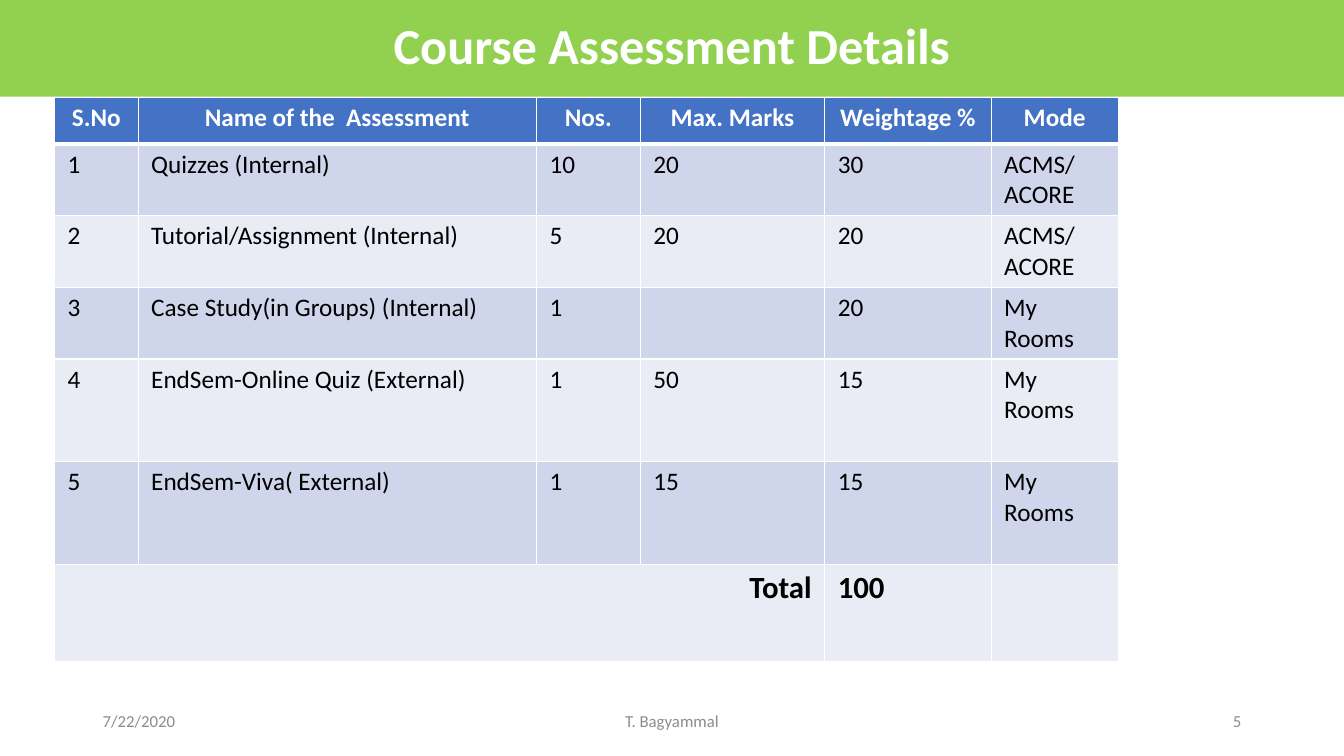
import pptx
import pptx.dml.color
import pptx.enum.shapes
import pptx.enum.text
import pptx.oxml.ns
import pptx.util
from lxml import etree

RGBColor = pptx.dml.color.RGBColor
ALIGN = pptx.enum.text.PP_ALIGN
ANCHOR = pptx.enum.text.MSO_ANCHOR

GREEN = RGBColor(0x92, 0xD0, 0x50)
BLUE = RGBColor(0x44, 0x72, 0xC4)
BAND_DARK = RGBColor(0xCF, 0xD5, 0xEA)
BAND_LIGHT = RGBColor(0xE9, 0xEB, 0xF5)
WHITE = RGBColor(0xFF, 0xFF, 0xFF)
BLACK = RGBColor(0, 0, 0)
GREY = RGBColor(0x8C, 0x8C, 0x8C)

FONT = "Calibri"
SLIDE_W = pptx.util.Inches(13.33)
SLIDE_H = pptx.util.Inches(7.5)

# Table grid, in inches
TABLE_LEFT, TABLE_TOP = 0.54, 0.97
COLUMNS = [0.83, 3.95, 1.03, 1.83, 1.65, 1.26]
ROWS = [0.46, 0.71, 0.71, 0.71, 1.02, 1.02, 0.96]
WEIGHTAGE = 4

HEADINGS = ["S.No", "Name of the  Assessment", "Nos.", "Max. Marks",
            "Weightage %", "Mode"]
ASSESSMENTS = [
    ["1", "Quizzes (Internal)", "10", "20", "30", "ACMS/ACORE"],
    ["2", "Tutorial/Assignment (Internal)", "5", "20", "20", "ACMS/ACORE"],
    ["3", "Case Study(in Groups) (Internal)", "1", "", "20", "My Rooms"],
    ["4", "EndSem-Online Quiz (External)", "1", "50", "15", "My Rooms"],
    ["5", "EndSem-Viva( External)", "1", "15", "15", "My Rooms"],
]
TOTAL = ["Total", "", "", "", "100", ""]


def write(frame, text, size, color, bold=False, align=ALIGN.LEFT):
    frame.word_wrap = True
    line = frame.paragraphs[0]
    line.text = text
    line.alignment = align
    line.font.name = FONT
    line.font.size = pptx.util.Pt(size)
    line.font.bold = bold
    line.font.color.rgb = color
    return line


def add_banner(slide, title):
    banner = slide.shapes.add_shape(
        pptx.enum.shapes.MSO_SHAPE.RECTANGLE, 0, 0, SLIDE_W, int(SLIDE_H * 0.128))
    banner.shadow.inherit = False
    banner.fill.solid()
    banner.fill.fore_color.rgb = GREEN
    banner.line.fill.background()
    banner.text_frame.vertical_anchor = ANCHOR.MIDDLE
    write(banner.text_frame, title, 36, WHITE, True, ALIGN.CENTER).line_spacing = 0.9


def add_footer(slide, text, left, width, align):
    """Place a footer; left and width are shares of the slide's width."""
    footer = slide.shapes.add_textbox(
        int(SLIDE_W * left), int(SLIDE_H * 0.927),
        int(SLIDE_W * width), int(SLIDE_H * 0.053))
    footer.text_frame.vertical_anchor = ANCHOR.MIDDLE
    write(footer.text_frame, text, 12, GREY, align=align)


def add_borders(cell, top, bottom):
    properties = cell._tc.get_or_add_tcPr()
    qn = pptx.oxml.ns.qn
    for side, points in (("L", 1), ("R", 1), ("T", top), ("B", bottom)):
        border = etree.SubElement(properties, qn("a:ln" + side),
                                  w=str(pptx.util.Pt(points)))
        fill = etree.SubElement(border, qn("a:solidFill"))
        etree.SubElement(fill, qn("a:srgbClr"), val=str(WHITE))


def fill_cell(cell, text, row, column):
    heading, total = row == 0, row == len(ROWS) - 1
    add_borders(cell, top=3 if row == 1 else 1, bottom=3 if heading else 1)
    cell.fill.solid()
    cell.fill.fore_color.rgb = (
        BLUE if heading else BAND_DARK if row % 2 else BAND_LIGHT)
    cell.margin_left = cell.margin_right = pptx.util.Inches(0.13)
    cell.margin_top = cell.margin_bottom = pptx.util.Inches(0.05)
    align = (ALIGN.CENTER if heading
             else ALIGN.RIGHT if total and column == 0 else ALIGN.LEFT)
    write(cell.text_frame, text, 22 if total else 18,
          WHITE if heading else BLACK, heading or total, align)


def add_assessments(slide):
    inches = pptx.util.Inches
    table = slide.shapes.add_table(
        len(ROWS), len(COLUMNS), inches(TABLE_LEFT), inches(TABLE_TOP),
        inches(sum(COLUMNS)), inches(sum(ROWS))).table
    for column, width in zip(table.columns, COLUMNS):
        column.width = inches(width)
    for row, height in zip(table.rows, ROWS):
        row.height = inches(height)
    for r, texts in enumerate([HEADINGS, *ASSESSMENTS, TOTAL]):
        for c, text in enumerate(texts):
            fill_cell(table.cell(r, c), text, r, c)
    last = len(ROWS) - 1
    table.cell(last, 0).merge(table.cell(last, WEIGHTAGE - 1))


def main():
    deck = pptx.Presentation()
    deck.slide_width, deck.slide_height = SLIDE_W, SLIDE_H
    slide = deck.slides.add_slide(deck.slide_layouts[6])

    # Content
    add_assessments(slide)
    add_banner(slide, "Course Assessment Details")

    # Footers: date, author, slide number
    add_footer(slide, "7/22/2020", 0.069, 0.225, ALIGN.LEFT)
    add_footer(slide, "T. Bagyammal", 0.331, 0.338, ALIGN.CENTER)
    add_footer(slide, "5", 0.706, 0.225, ALIGN.RIGHT)

    deck.save("out.pptx")


if __name__ == "__main__":
    main()
